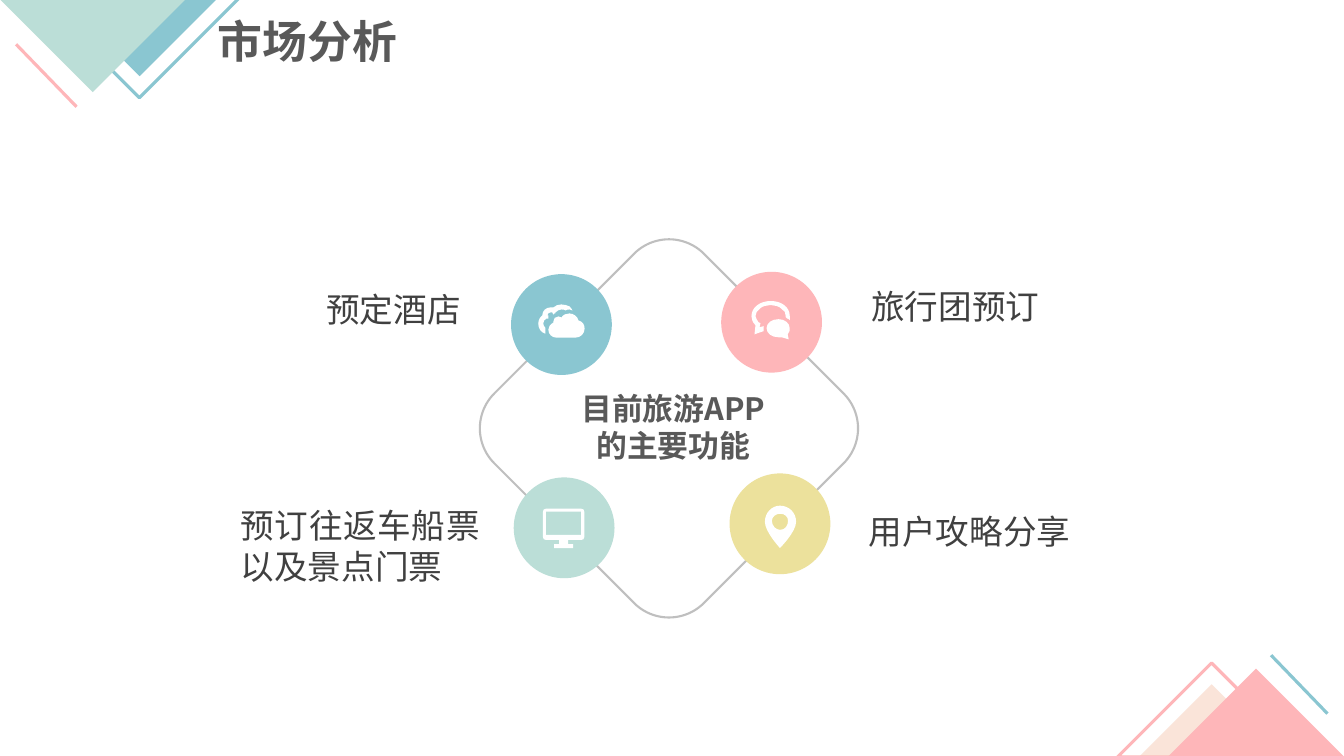
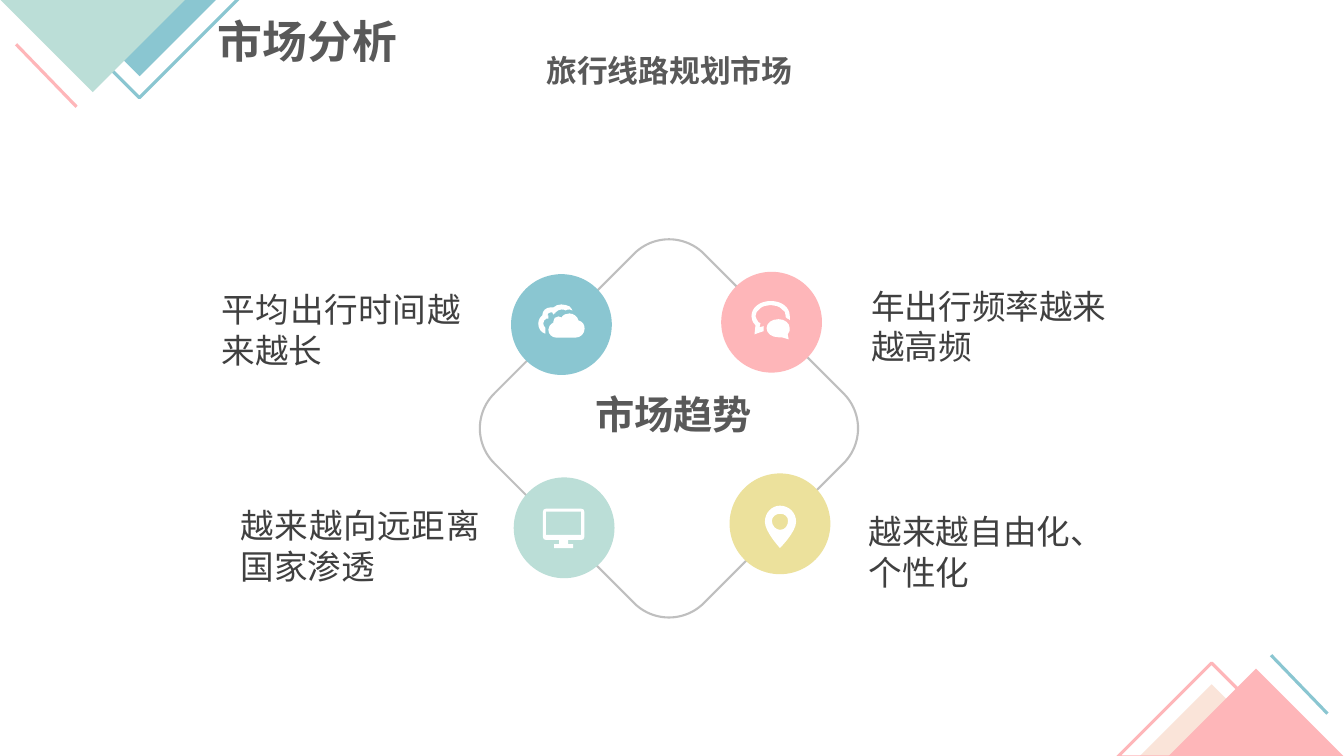
import pptx
import pptx.dml.color
import pptx.enum.shapes
import pptx.enum.text
import pptx.oxml.ns
import pptx.util
from lxml import etree

RGBColor = pptx.dml.color.RGBColor
Shape = pptx.enum.shapes.MSO_SHAPE
Align = pptx.enum.text.PP_ALIGN
qn = pptx.oxml.ns.qn

BLUE = RGBColor(0x8A, 0xC6, 0xD1)
MINT = RGBColor(0xBB, 0xDE, 0xD7)
PINK = RGBColor(0xFE, 0xB6, 0xB9)
PEACH = RGBColor(0xFA, 0xE4, 0xD9)
YELLOW = RGBColor(0xEC, 0xE1, 0x9C)
WHITE = RGBColor(0xFF, 0xFF, 0xFF)
SILVER = RGBColor(0xBF, 0xBF, 0xBF)
HEADING = RGBColor(0x59, 0x59, 0x59)
BODY = RGBColor(0x40, 0x40, 0x40)

FONT = "Noto Sans CJK SC"
COLUMNS, ROWS = 160, 90
CELL = 76200
DISC = 12
ICON_UNITS = 100

PIN = [
    [
        [(50, 32), (42, 32, 35, 39, 35, 48), (35, 58, 50, 74, 50, 74),
         (50, 74, 66, 58, 66, 48), (66, 39, 59, 32, 50, 32)],
        [(50, 56), (46, 56, 42, 52, 42, 47), (42, 43, 46, 40, 50, 40),
         (55, 40, 58, 43, 58, 47), (58, 52, 55, 56, 50, 56)],
    ],
]
CLOUDS = [
    [
        [(67, 46), (66, 42, 62, 39, 58, 39), (55, 39, 52, 40, 50, 43),
         (49, 42, 48, 42, 47, 42), (44, 42, 42, 44, 42, 47), (42, 48),
         (39, 50, 37, 52, 37, 55), (37, 60, 41, 63, 45, 63), (64, 63),
         (69, 63, 73, 59, 73, 54), (73, 50, 71, 47, 67, 46)],
    ],
    [
        [(39, 38), (41, 38), (42, 40), (43, 39), (44, 39), (44, 38),
         (46, 36, 48, 35, 50, 35), (52, 35, 53, 35, 54, 36),
         (55, 35, 57, 35, 58, 35), (59, 35, 60, 35, 61, 36),
         (60, 34, 59, 33, 58, 32), (56, 31, 53, 30, 50, 30),
         (47, 30, 44, 31, 42, 33), (41, 33, 40, 33, 39, 33),
         (35, 33, 31, 36, 31, 41), (29, 42, 27, 46, 27, 49),
         (27, 54, 30, 58, 34, 59), (34, 53), (33, 52, 32, 51, 32, 49),
         (32, 47, 33, 45, 35, 44), (37, 44), (37, 41), (36, 41),
         (36, 39, 38, 38, 39, 38)],
    ],
]
BUBBLES = [
    [
        [(68, 56), (68, 51, 63, 47, 57, 47), (50, 47, 45, 51, 45, 56),
         (45, 61, 50, 65, 57, 65), (60, 65), (67, 67), (66, 62),
         (68, 60, 68, 58, 68, 56)],
    ],
    [
        [(38, 37), (39, 35, 41, 35, 43, 34), (45, 34, 47, 33, 49, 33),
         (51, 33, 53, 34, 55, 34), (57, 35, 59, 35, 60, 37),
         (63, 38, 64, 41, 64, 44), (64, 45), (65, 46, 66, 47, 67, 47),
         (68, 48), (68, 44), (68, 35, 60, 29, 49, 29),
         (39, 29, 30, 35, 30, 44), (30, 47, 31, 50, 34, 53), (33, 62),
         (42, 59), (42, 54), (38, 55), (39, 51), (37, 50),
         (36, 48, 34, 46, 34, 44), (34, 41, 36, 38, 38, 37)],
    ],
]
MONITOR = [
    [
        [(67, 31), (32, 31), (30, 31, 29, 32, 29, 34), (29, 59),
         (29, 61, 30, 62, 32, 62), (45, 62), (45, 66), (40, 66), (40, 70),
         (59, 70), (59, 66), (54, 66), (54, 62), (67, 62),
         (69, 62, 70, 61, 70, 59), (70, 34), (70, 32, 69, 31, 67, 31)],
        [(67, 57), (32, 57), (32, 34), (67, 34)],
    ],
]

BADGES = [
    (86.86, 56.36, YELLOW, PIN),
    (60.84, 32.64, BLUE, CLOUDS),
    (85.86, 32.36, PINK, BUBBLES),
    (61.16, 56.84, MINT, MONITOR),
]
LABEL_PLACES = [(102.54, 33.45), (102.24, 60.28), (25.2, 33.84), (27.48, 59.56)]
LABEL_WIDTH = 30.84

SLIDES = [
    {
        "labels": [
            ("旅行团预订", 1, Align.LEFT),
            ("用户攻略分享", 1, Align.LEFT),
            ("预定酒店", 1, Align.RIGHT),
            ("预订往返车船票以及景点门票", 2, Align.JUSTIFY),
        ],
        "center": ("目前旅游APP的主要功能", 2, 22),
        "subtitle": None,
    },
    {
        "labels": [
            ("年出行频率越来越高频", 2, Align.LEFT),
            ("越来越自由化、个性化", 2, Align.LEFT),
            ("平均出行时间越来越长", 2, Align.JUSTIFY),
            ("越来越向远距离国家渗透", 2, Align.JUSTIFY),
        ],
        "center": ("市场趋势", 1, 28),
        "subtitle": "旅行线路规划市场",
    },
]


def cells(count):
    return pptx.util.Emu(round(count * CELL))


def write_text(box, text, *, size, color=HEADING, bold=True, align=Align.CENTER):
    frame = box.text_frame
    frame.word_wrap = True
    frame.auto_size = pptx.enum.text.MSO_AUTO_SIZE.SHAPE_TO_FIT_TEXT
    frame.vertical_anchor = pptx.enum.text.MSO_ANCHOR.TOP
    para = frame.paragraphs[0]
    para.alignment = align
    span = para.add_run()
    span.text = text
    span.font.size = pptx.util.Pt(size)
    span.font.bold = bold
    span.font.color.rgb = color
    span.font.name = FONT
    etree.SubElement(span._r.get_or_add_rPr(), qn("a:ea"), typeface=FONT)


class Designer:
    def __init__(self, deck):
        self.deck = deck
        self.page = None

    def new_page(self):
        self.page = self.deck.slides.add_slide(self.deck.slide_layouts[5])

    def paint(self, shape, fill=None, line=None, weight=2.25):
        shape.shadow.inherit = False
        if fill is None:
            shape.fill.background()
        else:
            shape.fill.solid()
            shape.fill.fore_color.rgb = fill
        if line is None:
            shape.line.fill.background()
        else:
            shape.line.color.rgb = line
            shape.line.width = pptx.util.Pt(weight)

    def square(self, kind, left, top, side, rotation=0, shapes=None, **style):
        if shapes is None:
            shapes = self.page.shapes
        shape = shapes.add_shape(kind, cells(left), cells(top), cells(side), cells(side))
        shape.rotation = rotation
        self.paint(shape, **style)

    def stroke(self, start, end, color):
        line = self.page.shapes.add_connector(
            pptx.enum.shapes.MSO_CONNECTOR.STRAIGHT, *map(cells, start + end))
        line.line.color.rgb = color
        line.line.width = pptx.util.Pt(2.25)
        etree.SubElement(line._element.spPr, qn("a:effectLst"))

    def corners(self):
        triangle = Shape.RIGHT_TRIANGLE
        self.square(triangle, 138.12, 84, 12.24, 135, fill=PEACH)
        self.square(triangle, 142.08, 82.68, 14.88, 135, fill=PINK)
        self.square(triangle, 136.32, 82.2, 15.84, 135, line=PINK)
        self.stroke((151.32, 78), (158.04, 84.96), BLUE)
        self.square(triangle, 8.2, -8.64, 16.8, 315, line=BLUE)
        self.square(triangle, 10.08, -6.72, 13.08, 315, fill=BLUE)
        self.square(triangle, 3.12, -8.16, 15.84, 315, fill=MINT)
        self.stroke((9.12, 12.72), (1.92, 5.28), PINK)

    def outline(self, shapes, contours, left, top):
        def spot(x, y):
            unit = DISC / ICON_UNITS
            return cells(left + x * unit), cells(top + y * unit)

        builder = shapes.build_freeform(*spot(*contours[0][0]))
        for index, contour in enumerate(contours):
            if index:
                builder.move_to(*spot(*contour[0]))
            builder.add_line_segments([spot(*part[-2:]) for part in contour[1:]], close=True)
        shape = builder.convert_to_shape()
        parts = [part for contour in contours for part in contour[1:]]
        for step, part in zip(list(shape._element.iter(qn("a:lnTo"))), parts):
            if len(part) == 6:
                step.tag = qn("a:cubicBezTo")
                for index in (0, 1):
                    x, y = spot(*part[2 * index:2 * index + 2])
                    handle = etree.Element(qn("a:pt"), x=str(x - shape.left),
                                           y=str(y - shape.top))
                    step.insert(index, handle)
        self.paint(shape, fill=WHITE)

    def badge(self, left, top, color, icon):
        shapes = self.page.shapes.add_group_shape().shapes
        self.square(Shape.OVAL, left, top, DISC, shapes=shapes, fill=color)
        for contours in icon:
            self.outline(shapes, contours, left, top)

    def place(self, box, left, top, width, size, lines=1):
        box.left, box.top, box.width = cells(left), cells(top), cells(width)
        box.height = cells(1.2 + 0.2 * size * lines)

    def title(self, text):
        box = self.page.shapes.title
        self.place(box, 23.95, 1.08, 25.32, 32)
        write_text(box, text, size=32)

    def text(self, text, left, top, width, size, lines=1, **style):
        box = self.page.shapes.add_textbox(0, 0, 0, 0)
        self.place(box, left, top, width, size, lines)
        write_text(box, text, size=size, **style)


def main():
    deck = pptx.Presentation()
    deck.slide_width, deck.slide_height = cells(COLUMNS), cells(ROWS)
    designer = Designer(deck)
    for content in SLIDES:
        designer.new_page()
        designer.corners()
        designer.title("市场分析")
        designer.square(Shape.ROUNDED_RECTANGLE, 62, 33.36, 35.28, 45,
                        line=SILVER, weight=1.5)
        for badge in BADGES:
            designer.badge(*badge)
        for (left, top), (text, lines, align) in zip(LABEL_PLACES, content["labels"]):
            designer.text(text, left, top, LABEL_WIDTH, 24, lines,
                          color=BODY, bold=False, align=align)
        text, lines, size = content["center"]
        designer.text(text, 67.5, 45.84, 25.32, size, lines)
        if content["subtitle"]:
            designer.text(content["subtitle"], 63.6, 5.52, 32.16, 22)
    deck.save("out.pptx")


if __name__ == "__main__":
    main()
